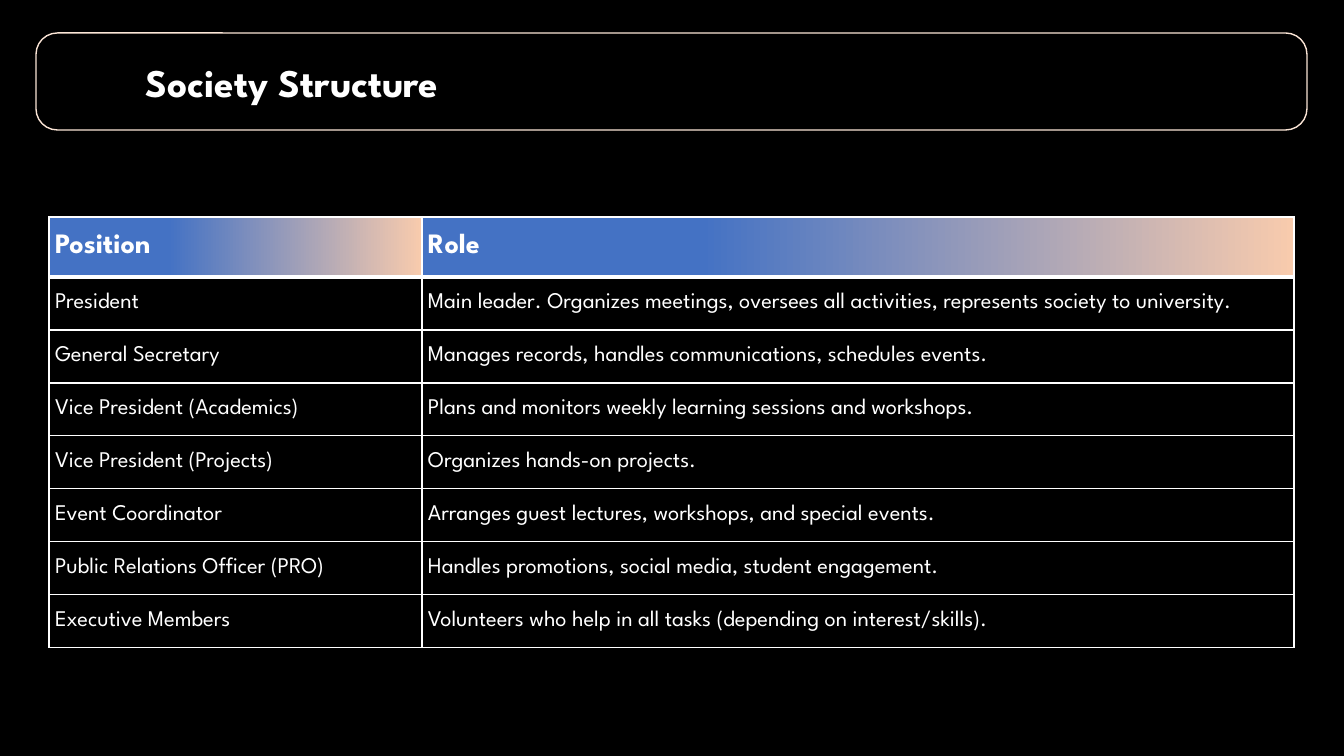
from dataclasses import dataclass

from lxml.etree import SubElement
from pptx import Presentation
from pptx.dml.color import RGBColor as RGB
from pptx.enum.shapes import MSO_SHAPE as SHAPE
from pptx.enum.text import MSO_ANCHOR as ANCHOR
from pptx.oxml.ns import qn
from pptx.util import Emu, Pt


@dataclass(frozen=True)
class Theme:
    """Colours, font and type sizes of the slide."""
    font: str = "League Spartan"
    back: str = "000000"
    ink: str = "FFFFFF"
    frame: str = "FBE5D6"
    head_from: str = "4472C4"
    head_to: str = "F8CBAD"
    title_pt: int = 28
    head_pt: int = 20
    body_pt: int = 16


THEME = Theme()
HEADER = ("Position", "Role")
ROLES = (
    ("President", "Main leader. Organizes meetings, oversees all activities, represents society to university."),
    ("General Secretary", "Manages records, handles communications, schedules events."),
    ("Vice President (Academics)", "Plans and monitors weekly learning sessions and workshops."),
    ("Vice President (Projects)", "Organizes hands-on projects."),
    ("Event Coordinator", "Arranges guest lectures, workshops, and special events."),
    ("Public Relations Officer (PRO)", "Handles promotions, social media, student engagement."),
    ("Executive Members", "Volunteers who help in all tasks (depending on interest/skills)."),
)


def px(n):
    """Turn pixels into EMU."""
    return Emu(round(n * 914400 / 100.8))


def write(tf, text, size, bold):
    """Put one styled line into a text frame."""
    p = tf.paragraphs[0]
    p.text = text
    p.font.name = THEME.font
    p.font.size = Pt(size)
    p.font.bold = bold
    p.font.color.rgb = RGB.from_string(THEME.ink)


def add_frame(s, x, y, w, h):
    """Draw the rounded outline behind the title."""
    sp = s.shapes.add_shape(SHAPE.ROUNDED_RECTANGLE, px(x), px(y), px(w), px(h))
    sp.adjustments[0] = 0.22
    sp.shadow.inherit = False
    sp.fill.background()
    sp.line.color.rgb = RGB.from_string(THEME.frame)
    sp.line.width = Pt(1)


def add_title(s, text, x, y, w, h):
    """Add the slide heading."""
    tf = s.shapes.add_textbox(px(x), px(y), px(w), px(h)).text_frame
    tf.word_wrap = True
    write(tf, text, THEME.title_pt, True)


def set_borders(cell, bottom):
    """Outline a cell, with its own width for the bottom edge."""
    tc_pr = cell._tc.get_or_add_tcPr()
    for side, width in (("L", 1), ("R", 1), ("T", 1), ("B", bottom)):
        ln = SubElement(tc_pr, qn(f"a:ln{side}"), w=str(Pt(width)))
        fill = SubElement(ln, qn("a:solidFill"))
        SubElement(fill, qn("a:srgbClr"), val=THEME.ink)


def fill_cell(cell, is_head):
    """Give header cells a gradient and body cells a plain fill."""
    if not is_head:
        cell.fill.solid()
        cell.fill.fore_color.rgb = RGB.from_string(THEME.back)
        return
    cell.fill.gradient()
    cell.fill.gradient_angle = 0
    stops = ((0.32, THEME.head_from), (1, THEME.head_to))
    for stop, (position, color) in zip(cell.fill.gradient_stops, stops):
        stop.position = position
        stop.color.rgb = RGB.from_string(color)


def style_cell(cell, text, is_head):
    """Fill in and format one table cell."""
    cell.vertical_anchor = ANCHOR.MIDDLE
    cell.margin_left = cell.margin_right = px(6)
    cell.margin_top = cell.margin_bottom = px(3)
    set_borders(cell, 3 if is_head else 1)
    fill_cell(cell, is_head)
    write(cell.text_frame, text, THEME.head_pt if is_head else THEME.body_pt, is_head)


def add_roles(s, x, y, widths, head_h, row_h):
    """Add the table of positions and roles."""
    rows = (HEADER, *ROLES)
    heights = [head_h] + [row_h] * len(ROLES)
    table = s.shapes.add_table(len(rows), len(widths), px(x), px(y),
                               px(sum(widths)), px(sum(heights))).table
    table.horz_banding = False
    for column, width in zip(table.columns, widths):
        column.width = px(width)
    for i, (row, height, texts) in enumerate(zip(table.rows, heights, rows)):
        row.height = px(height)
        for cell, text in zip(row.cells, texts):
            style_cell(cell, text, i == 0)


def main():
    """Build and save the slide."""
    prs = Presentation()
    prs.slide_width, prs.slide_height = px(1344), px(756)
    s = prs.slides.add_slide(prs.slide_layouts[6])
    s.background.fill.solid()
    s.background.fill.fore_color.rgb = RGB.from_string(THEME.back)
    add_frame(s, 36, 33, 1271, 97)
    add_title(s, "Society Structure", 136, 53, 909, 57)
    add_roles(s, 49, 217, (373, 872), 60, 53)
    prs.save("out.pptx")


if __name__ == "__main__":
    main()
